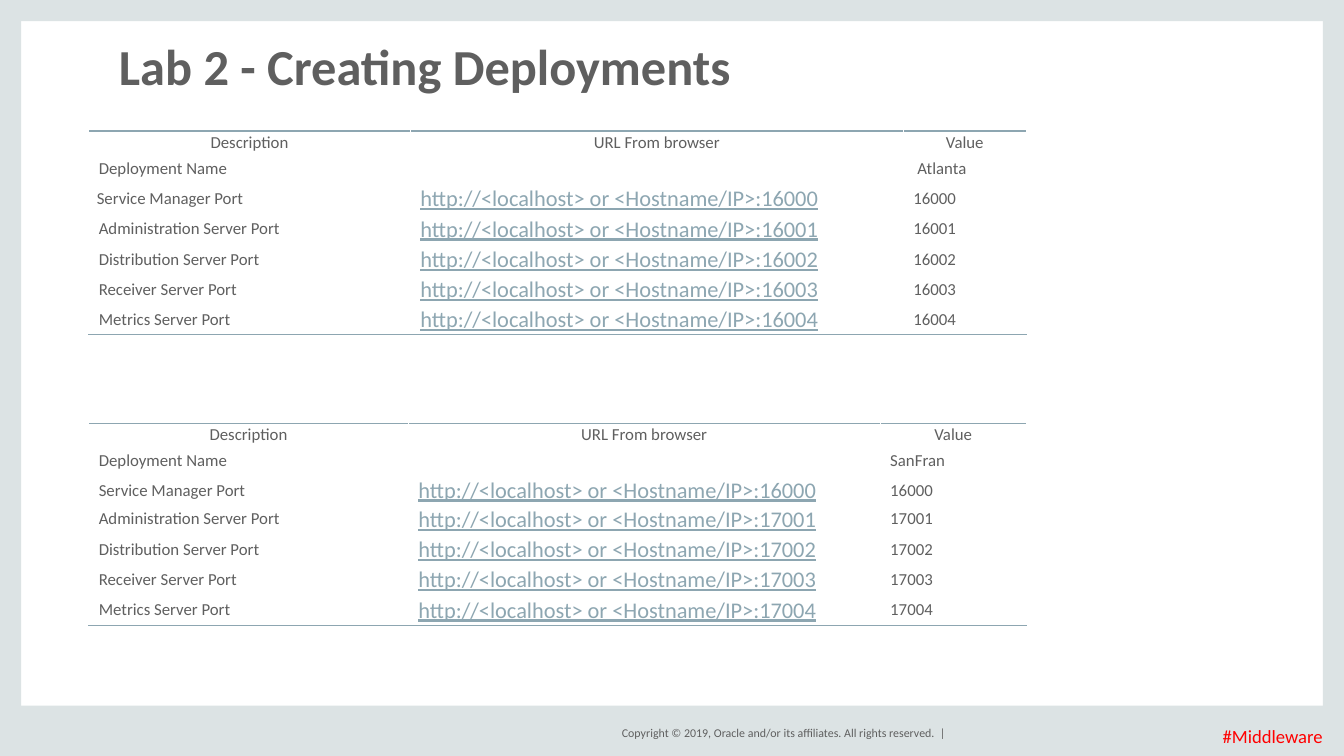
import pptx
import pptx.util
import pptx.dml.color
import pptx.enum.shapes
import pptx.enum.text
from lxml import etree
from pptx.util import Inches

FONT = "Calibri"
GREY = "5F5F5F"
STEEL = "8DA6B1"
FRAME = "DCE3E4"
RED = "FF0000"
ALIGN = pptx.enum.text.PP_ALIGN
ANCHOR = pptx.enum.text.MSO_ANCHOR
DRAWING = "{http://schemas.openxmlformats.org/drawingml/2006/main}"
HEADERS = ["Description", "URL From browser", "Value"]
SERVICES = ["Service Manager", "Administration Server", "Distribution Server",
            "Receiver Server", "Metrics Server"]


def rgb(code):
    return pptx.dml.color.RGBColor.from_string(code)


def style_text(paragraph, size, color, align=ALIGN.LEFT, bold=False, underline=False):
    paragraph.alignment = align
    for run in paragraph.runs:
        run.font.name = FONT
        run.font.size = pptx.util.Pt(size)
        run.font.color.rgb = rgb(color)
        run.font.bold = bold
        run.font.underline = underline


def add_bar(slide, left, top, width, height):
    bar = slide.shapes.add_shape(
        pptx.enum.shapes.MSO_SHAPE.RECTANGLE,
        Inches(left), Inches(top), Inches(width), Inches(height))
    bar.shadow.inherit = False
    bar.fill.solid()
    bar.fill.fore_color.rgb = rgb(FRAME)
    bar.line.fill.background()


def add_label(slide, text, box, size, color, align=ALIGN.RIGHT,
              anchor=ANCHOR.MIDDLE, bold=False, wrap=False):
    label = slide.shapes.add_textbox(*[Inches(length) for length in box])
    frame = label.text_frame
    frame.word_wrap = wrap
    frame.vertical_anchor = anchor
    frame.margin_left = frame.margin_right = 0
    frame.margin_top = frame.margin_bottom = 0
    frame.text = text
    style_text(frame.paragraphs[0], size, color, align, bold)
    return frame.paragraphs[0]


def add_border(cell, side):
    border = etree.Element(DRAWING + side, w=str(pptx.util.Pt(1)))
    fill = etree.SubElement(border, DRAWING + "solidFill")
    etree.SubElement(fill, DRAWING + "srgbClr", val=STEEL)
    cell._tc.get_or_add_tcPr().insert(0, border)


def fill_cell(cell, text, is_header, is_link, tight, indent):
    cell.fill.background()
    cell.vertical_anchor = ANCHOR.MIDDLE
    cell.margin_left = Inches(indent)
    cell.margin_right = Inches(0.01)
    cell.margin_top = Inches(0.01 if tight else 0.05)
    cell.margin_bottom = Inches(0 if tight else 0.05)
    paragraph = cell.text_frame.paragraphs[0]
    if text:
        paragraph.text = text
        style_text(paragraph, 16 if is_link else 12, STEEL if is_link else GREY,
                   ALIGN.CENTER if is_header else ALIGN.LEFT, underline=is_link)
    else:
        etree.SubElement(paragraph._p, DRAWING + "endParaRPr", sz="1200")


def add_port_table(slide, top, widths, heights, deployment, ports, indents):
    rows = [HEADERS, ["Deployment Name", "", deployment]]
    for service, port in zip(SERVICES, ports):
        rows.append([f"{service} Port",
                     f"http://<localhost> or <Hostname/IP>:{port}", str(port)])
    table = slide.shapes.add_table(
        len(rows), len(HEADERS), Inches(0.88), Inches(top),
        Inches(sum(widths)), Inches(sum(heights))).table
    table.first_row = False
    table.horz_banding = False
    for column, width in zip(table.columns, widths):
        column.width = Inches(width)
    for r, (values, height) in enumerate(zip(rows, heights)):
        table.rows[r].height = Inches(height)
        for c, text in enumerate(values):
            cell = table.cell(r, c)
            is_header = r == 0
            is_link = c == 1 and not is_header
            indent = 0.01 if is_header else indents.get((r, c), 0.1)
            fill_cell(cell, text, is_header, is_link, is_link or height < 0.3, indent)
            if is_header:
                add_border(cell, "lnT")
            if r == len(rows) - 1:
                add_border(cell, "lnB")


def main():
    deck = pptx.Presentation()
    deck.slide_width = Inches(13.33)
    deck.slide_height = Inches(7.5)
    slide = deck.slides.add_slide(deck.slide_layouts[6])

    add_bar(slide, 0, 0, 0.21, 7.5)
    add_bar(slide, 13.12, 0, 0.21, 7.5)
    add_bar(slide, 0, 7, 13.33, 0.5)
    add_bar(slide, 0, 0, 13.33, 0.21)

    add_label(slide, "Copyright © 2019, Oracle and/or its affiliates. All rights reserved.  |",
              (5.88, 7.17, 3.5, 0.2), 8.5, GREY)
    title = add_label(slide, "Lab 2 - Creating Deployments", (1.18, 0.29, 12.15, 0.65),
                      36, GREY, ALIGN.LEFT, ANCHOR.BOTTOM, bold=True, wrap=True)
    title.line_spacing = 0.8
    add_label(slide, "#Middleware", (8.9, 7.1, 4.22, 0.4), 13.3, RED)

    add_port_table(slide, 1.3, [3.19, 4.89, 1.22], [0.22] + [0.3] * 6, "Atlanta",
                   range(16000, 16005), {(1, 2): 0.14, (2, 0): 0.08})
    add_port_table(slide, 4.2, [3.17, 4.68, 1.45], [0.22, 0.3, 0.28] + [0.3] * 4, "SanFran",
                   [16000, *range(17001, 17005)], {})

    deck.save("out.pptx")


if __name__ == "__main__":
    main()
